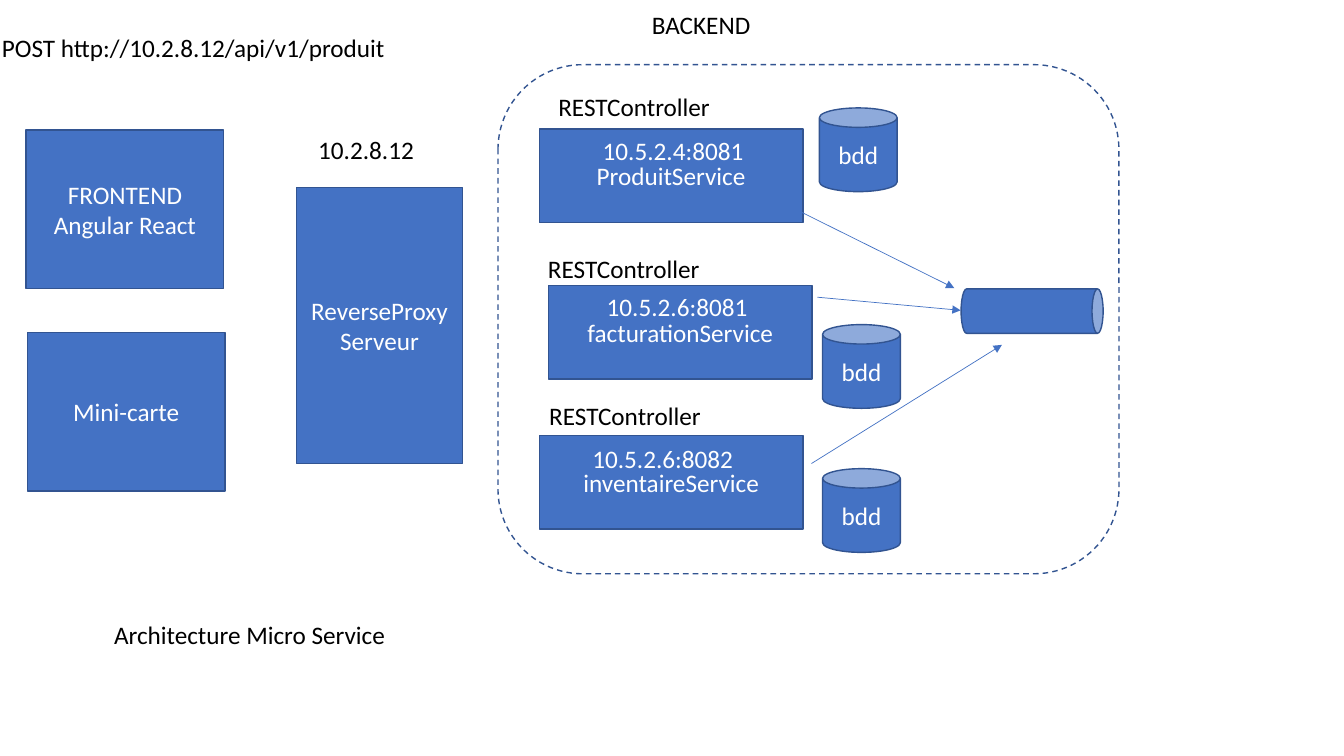
from dataclasses import dataclass

from lxml.etree import SubElement
from pptx import Presentation
from pptx.dml.color import RGBColor
from pptx.enum.dml import MSO_LINE
from pptx.enum.shapes import MSO_CONNECTOR, MSO_SHAPE
from pptx.enum.text import MSO_ANCHOR, MSO_AUTO_SIZE, PP_ALIGN
from pptx.oxml.ns import qn
from pptx.util import Cm, Pt


@dataclass(frozen=True)
class Theme:
    """Colours and type of the slide."""
    fill = RGBColor(0x44, 0x72, 0xC4)
    edge = RGBColor(0x32, 0x54, 0x91)
    light = RGBColor(0xFF, 0xFF, 0xFF)
    dark = RGBColor(0, 0, 0)
    font = "Calibri"
    size = Pt(18)
    edge_width = Pt(1)
    arrow_width = Pt(0.5)


THEME = Theme()
LABEL_H = 1.02
SERVICE_W, SERVICE_H = 6.65, 2.36
CLIENT_W, CLIENT_H = 4.98, 3.99

# Service: name, address, box position in the backend, then the offsets
# from that box of its label, address, database and arrow start,
# and the arrow end in the backend.
SERVICES = [
    ("ProduitService", "10.5.2.4:8081", (1.04, 1.62),
     (0.23, -1.07), (1.35, 0.03), (7.06, -0.53), (6.27, 1.93), (11.5, 5.63)),
    ("facturationService", "10.5.2.6:8081", (1.27, 5.56),
     (-0.26, -0.94), (1.22, 0.02), (6.91, 0.99), (6.78, 0.3), (11.66, 6.19)),
    ("inventaireService", "10.5.2.6:8082", (1.04, 9.34),
     (0, -1.01), (1.09, 0.08), (7.14, 0.84), (6.86, 0.71), (12.7, 7.06)),
]


def shift(origin, offset):
    """Return the point at an offset from an origin."""
    return origin[0] + offset[0], origin[1] + offset[1]


def write(tf, lines, color, align):
    """Fill a text frame with one paragraph per line."""
    for i, line in enumerate(lines):
        p = tf.add_paragraph() if i else tf.paragraphs[0]
        p.alignment = align
        r = p.add_run()
        r.text = line
        r.font.name, r.font.size = THEME.font, THEME.size
        r.font.color.rgb = color


def add_block(s, kind, at, w, h, *lines):
    """Add a filled, outlined shape with centred text."""
    sp = s.shapes.add_shape(kind, Cm(at[0]), Cm(at[1]), Cm(w), Cm(h))
    sp.shadow.inherit = False
    sp.fill.solid()
    sp.fill.fore_color.rgb = THEME.fill
    sp.line.color.rgb, sp.line.width = THEME.edge, THEME.edge_width
    tf = sp.text_frame
    tf.vertical_anchor = MSO_ANCHOR.MIDDLE
    write(tf, lines, THEME.light, PP_ALIGN.CENTER)
    return sp


def add_label(s, at, w, text, color=THEME.dark):
    """Add a left-aligned label."""
    sp = s.shapes.add_textbox(Cm(at[0]), Cm(at[1]), Cm(w), Cm(LABEL_H))
    sp.text_frame.word_wrap = True
    write(sp.text_frame, [text], color, PP_ALIGN.LEFT)
    return sp


def add_arrow(s, start, end):
    """Add a thin connector with an arrowhead at its end."""
    cx = s.shapes.add_connector(MSO_CONNECTOR.STRAIGHT,
                                *(Cm(v) for v in (*start, *end)))
    cx.line.color.rgb, cx.line.width = THEME.fill, THEME.arrow_width
    SubElement(cx.line._get_or_add_ln(), qn("a:tailEnd"), type="triangle")
    SubElement(cx._element.spPr, qn("a:effectLst"))


def add_title(s, at, w):
    """Place the slide title as a caption."""
    sp = s.shapes.title
    sp.left, sp.top, sp.width, sp.height = (
        Cm(v) for v in (*at, w, LABEL_H))
    tf = sp.text_frame
    tf.auto_size = MSO_AUTO_SIZE.NONE
    tf.vertical_anchor = MSO_ANCHOR.TOP
    write(tf, ["Architecture Micro Service"], THEME.dark, PP_ALIGN.LEFT)


def add_clients(s, at):
    """Stack the client blocks."""
    add_block(s, MSO_SHAPE.RECTANGLE, at, CLIENT_W, CLIENT_H,
              "FRONTEND", "Angular React")
    add_block(s, MSO_SHAPE.RECTANGLE, shift(at, (0.03, 5.1)),
              CLIENT_W, CLIENT_H, "Mini-carte")


def add_request(s, at):
    """Show the request sent by the clients."""
    sp = add_label(s, at, 10.8, "POST http://10.2.8.12/api/v1/produit")
    sp.text_frame.margin_left = Cm(0.05)


def add_proxy(s, at):
    """Draw the reverse proxy and its address."""
    add_block(s, MSO_SHAPE.RECTANGLE, at, 4.19, 6.96,
              "ReverseProxy", "Serveur")
    add_label(s, shift(at, (0.3, -1.47)), 3.68, "10.2.8.12")


def add_service(s, origin, service):
    """Draw one service with its labels, database and arrow to the queue."""
    name, address, box, label, ip, db, start, end = service
    at = shift(origin, box)
    add_block(s, MSO_SHAPE.RECTANGLE, at, SERVICE_W, SERVICE_H, name)
    add_block(s, MSO_SHAPE.CAN, shift(at, db), 1.96, 2.11, "bdd")
    add_arrow(s, shift(at, start), shift(origin, end))
    add_label(s, shift(at, label), 4.8, "RESTController")
    add_label(s, shift(at, ip), 4.95, address, THEME.light)


def add_backend(s, at, w, h):
    """Draw the dashed backend frame, its queue and its services."""
    frame = add_block(s, MSO_SHAPE.ROUNDED_RECTANGLE, at, w, h)
    frame.fill.background()
    frame.line.dash_style = MSO_LINE.DASH
    add_label(s, shift(at, (3.63, -1.53)), 3.68, "BACKEND")
    queue = add_block(s, MSO_SHAPE.CAN, shift(at, (12.9, 4.42)), 1.12, 3.58)
    queue.rotation = 90
    for service in SERVICES:
        add_service(s, at, service)


def main():
    """Build and save the slide."""
    prs = Presentation()
    prs.slide_width, prs.slide_height = Cm(33.87), Cm(19.05)
    s = prs.slides.add_slide(prs.slide_layouts.get_by_name("Title Only"))
    add_title(s, (2.62, 15.49), 7.49)
    add_clients(s, (0.66, 3.28))
    add_request(s, (0, 0.69))
    add_proxy(s, (7.47, 4.72))
    add_backend(s, (12.55, 1.63), 15.65, 12.83)
    prs.save("out.pptx")


main()
